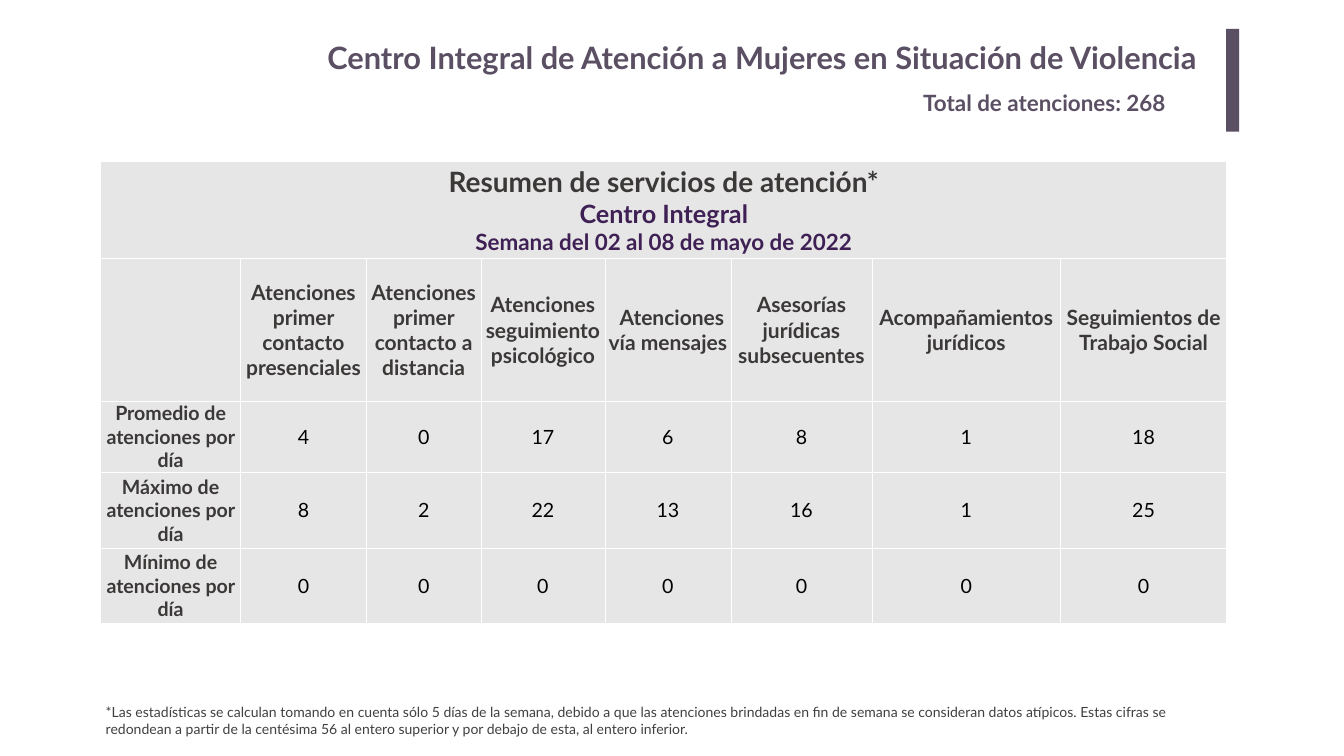
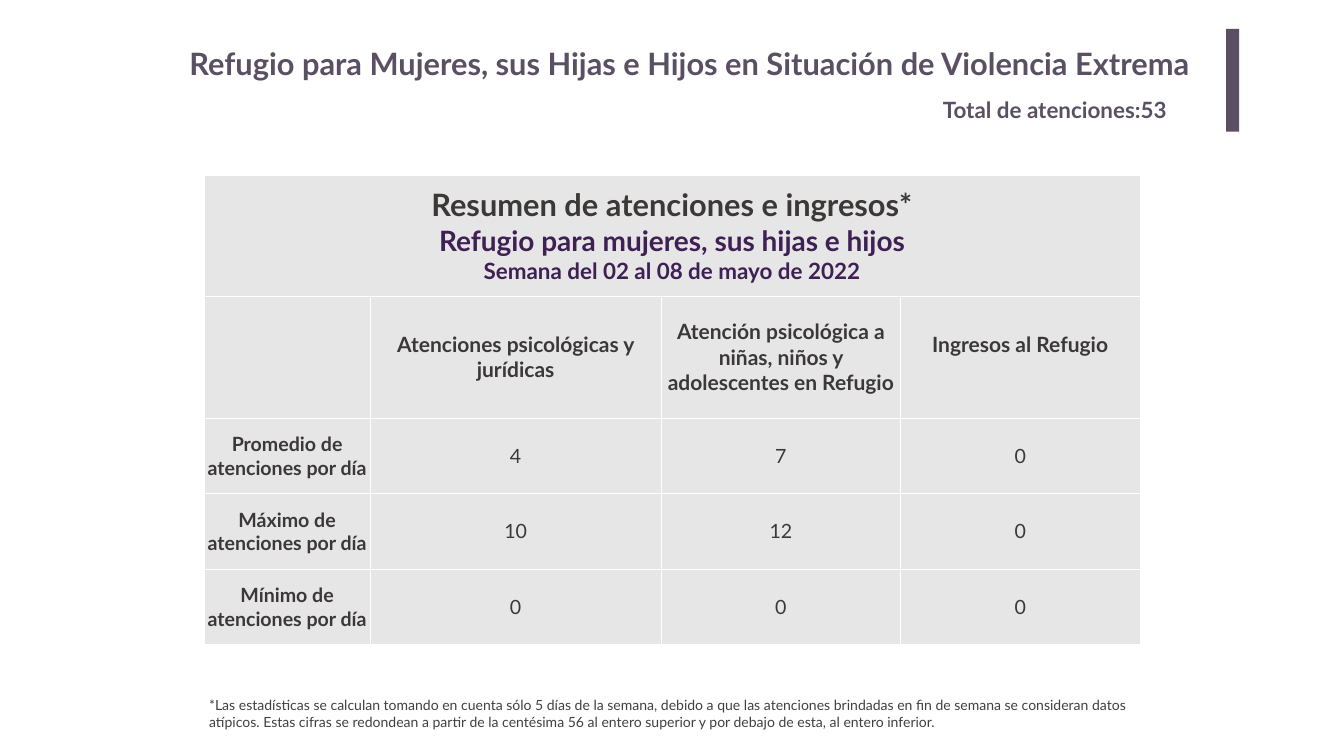
from lxml import etree
from pptx import Presentation
from pptx.dml.color import RGBColor
from pptx.enum.shapes import MSO_SHAPE
from pptx.enum.text import MSO_ANCHOR, MSO_AUTO_SIZE, PP_ALIGN
from pptx.oxml.ns import qn
from pptx.util import Cm, Pt

LEFT, RIGHT, CENTER = PP_ALIGN.LEFT, PP_ALIGN.RIGHT, PP_ALIGN.CENTER
MIDDLE = MSO_ANCHOR.MIDDLE
GROW, FIXED = MSO_AUTO_SIZE.SHAPE_TO_FIT_TEXT, MSO_AUTO_SIZE.NONE
RECTANGLE = MSO_SHAPE.RECTANGLE

# Shared style
FONT = "Lato"
MAUVE, PURPLE, DARK = "5B4F63", "3E2054", "3B3838"
GREY, NOTE_GREY, BLACK, WHITE = "E7E6E6", "404040", "000000", "FFFFFF"
BAR = (61.8, 1.45, 0.66, 5.18)
INSET, WIDE_INSET = (0.25, 0.13), (0.51, 0.25)
TITLE_SIZE, TOTAL_SIZE, NOTE_SIZE = 44, 32, 20
HEADER_SIZE, BODY_SIZE = 30, 28

# Shared wording
WEEK = "Semana del 02 al 08 de mayo de 2022"
ROW_LABELS = [f"{name} de atenciones por día" for name in ("Promedio", "Máximo", "Mínimo")]
NOTE = ("*Las estadísticas se calculan tomando en cuenta sólo 5 días de la semana, debido a que "
        "las atenciones brindadas en fin de semana se consideran datos atípicos. Estas cifras se "
        "redondean a partir de la centésima 56 al entero superior y por debajo de esta, "
        "al entero inferior.")

# Slides; lengths in cm. Headers are (text, first-line indent, bottom margin).
SLIDES = [
    {
        "title": "Centro Integral de Atención a Mujeres en Situación de Violencia",
        "title_box": (9.3, 1.7, 51.56, 2.59),
        "title_style": (RIGHT, WIDE_INSET, FIXED),
        "total": "Total de atenciones: 268",
        "total_box": (46.28, 4.34, 15.04, 1.63),
        "caption": [("Resumen de servicios de atención*", 40, DARK),
                    ("Centro Integral", 36, PURPLE), (WEEK, 32, PURPLE)],
        "headers": [("Atenciones primer contacto presenciales", 0, 0),
                    ("Atenciones primer contacto a distancia", 0, 0),
                    ("Atenciones seguimiento psicológico", 0, 0),
                    ("Atenciones vía mensajes", 0.4, 0),
                    ("Asesorías jurídicas subsecuentes", 0, 0),
                    ("Acompañamientos jurídicos", 0, 0),
                    ("Seguimientos de Trabajo Social", 0, 0)],
        "values": [(4, 0, 17, 6, 8, 1, 18), (8, 2, 22, 13, 16, 1, 25), (0,) * 7],
        "value_color": BLACK,
        "origin": (5.08, 8.15),
        "columns": (7.04, 6.35, 5.77, 6.25, 6.35, 7.11, 9.5, 8.38),
        "rows": (4.88, 7.19, 3.58, 3.81, 3.81),
        "note_top": 35.31,
    },
    {
        "title": "Refugio para Mujeres, sus Hijas e Hijos en Situación de Violencia Extrema",
        "title_box": (9.3, 2.13, 52.65, 2.13),
        "title_style": (LEFT, INSET, GROW),
        "total": "Total de atenciones:53",
        "total_box": (47.27, 4.7, 13.59, 1.63),
        "caption": [("Resumen de atenciones e ingresos*", 44, DARK),
                    ("Refugio para mujeres, sus hijas e hijos", 40, PURPLE), (WEEK, 32, PURPLE)],
        "headers": [("Atenciones psicológicas y jurídicas", 0, 0),
                    ("Atención psicológica a niñas, niños y adolescentes en Refugio", 0, 0),
                    ("Ingresos al Refugio", 0, 1.27)],
        "values": [(4, 7, 0), (10, 12, 0), (0, 0, 0)],
        "value_color": DARK,
        "origin": (10.29, 8.81),
        "columns": (8.36, 14.68, 12.06, 12.06),
        "rows": (6.1, 6.15, 3.81, 3.81, 3.81),
        "note_top": 34.98,
    },
]


def rgb(color):
    return RGBColor.from_string(color)


def add_run(p, text, size, color, bold):
    r = p.add_run()
    r.text = text
    r.font.name, r.font.size, r.font.bold = FONT, Pt(size), bold
    r.font.color.rgb = rgb(color)


def add_text(s, box, text, size, color, bold=True, align=LEFT, inset=INSET, fit=GROW):
    tf = s.shapes.add_textbox(*map(Cm, box)).text_frame
    tf.word_wrap, tf.auto_size = True, fit
    tf.margin_left = tf.margin_right = Cm(inset[0])
    tf.margin_top = tf.margin_bottom = Cm(inset[1])
    p = tf.paragraphs[0]
    p.alignment = align
    add_run(p, text, size, color, bold)


def style_cell(cell):
    cell.vertical_anchor = MIDDLE
    cell.margin_left = cell.margin_right = cell.margin_top = cell.margin_bottom = 0
    cell.fill.solid()
    cell.fill.fore_color.rgb = rgb(GREY)
    # Borders come before the fill in the cell properties
    tc_pr = cell._tc.get_or_add_tcPr()
    for i, side in enumerate(("lnL", "lnR", "lnT", "lnB")):
        line = etree.Element(qn(f"a:{side}"), w=str(Pt(1)))
        fill = etree.SubElement(line, qn("a:solidFill"))
        etree.SubElement(fill, qn("a:srgbClr"), val=WHITE)
        tc_pr.insert(i, line)


def fill_cell(cell, lines, bold=True):
    tf = cell.text_frame
    for i, (text, size, color) in enumerate(lines):
        p = tf.add_paragraph() if i else tf.paragraphs[0]
        p.alignment = CENTER
        add_run(p, text, size, color, bold)


def add_summary(s, data):
    columns, rows = data["columns"], data["rows"]
    size = sum(columns), sum(rows)
    table = s.shapes.add_table(len(rows), len(columns), *map(Cm, data["origin"] + size)).table
    table.first_row = table.horz_banding = False
    for column, width in zip(table.columns, columns):
        column.width = Cm(width)
    for row, height in zip(table.rows, rows):
        row.height = Cm(height)
    for cell in table.iter_cells():
        style_cell(cell)

    # Caption across the top
    table.cell(0, 0).merge(table.cell(0, len(columns) - 1))
    fill_cell(table.cell(0, 0), data["caption"])

    # Column headers
    for c, (text, indent, bottom) in enumerate(data["headers"], 1):
        cell = table.cell(1, c)
        fill_cell(cell, [(text, HEADER_SIZE, DARK)])
        cell.margin_bottom = Cm(bottom)
        if indent:
            p = cell.text_frame.paragraphs[0]
            p._p.get_or_add_pPr().set("indent", str(Cm(indent)))

    # Row labels and values
    for r, (label, values) in enumerate(zip(ROW_LABELS, data["values"]), 2):
        fill_cell(table.cell(r, 0), [(label, BODY_SIZE, DARK)])
        for c, value in enumerate(values, 1):
            fill_cell(table.cell(r, c), [(str(value), BODY_SIZE, data["value_color"])], False)


def add_bar(s):
    sp = s.shapes.add_shape(RECTANGLE, *map(Cm, BAR))
    sp.shadow.inherit = False
    sp.fill.solid()
    sp.fill.fore_color.rgb = rgb(MAUVE)
    sp.line.fill.background()


def build_slide(prs, data):
    s = prs.slides.add_slide(prs.slide_layouts[6])
    add_summary(s, data)
    add_text(s, data["title_box"], data["title"], TITLE_SIZE, MAUVE, True, *data["title_style"])
    add_bar(s)
    add_text(s, data["total_box"], data["total"], TOTAL_SIZE, MAUVE)
    note_box = (data["origin"][0], data["note_top"], sum(data["columns"]), 1.96)
    add_text(s, note_box, NOTE, NOTE_SIZE, NOTE_GREY, bold=False)


def main():
    prs = Presentation()
    prs.slide_width, prs.slide_height = Cm(67.74), Cm(38.1)
    for data in SLIDES:
        build_slide(prs, data)
    prs.save("out.pptx")


if __name__ == "__main__":
    main()
